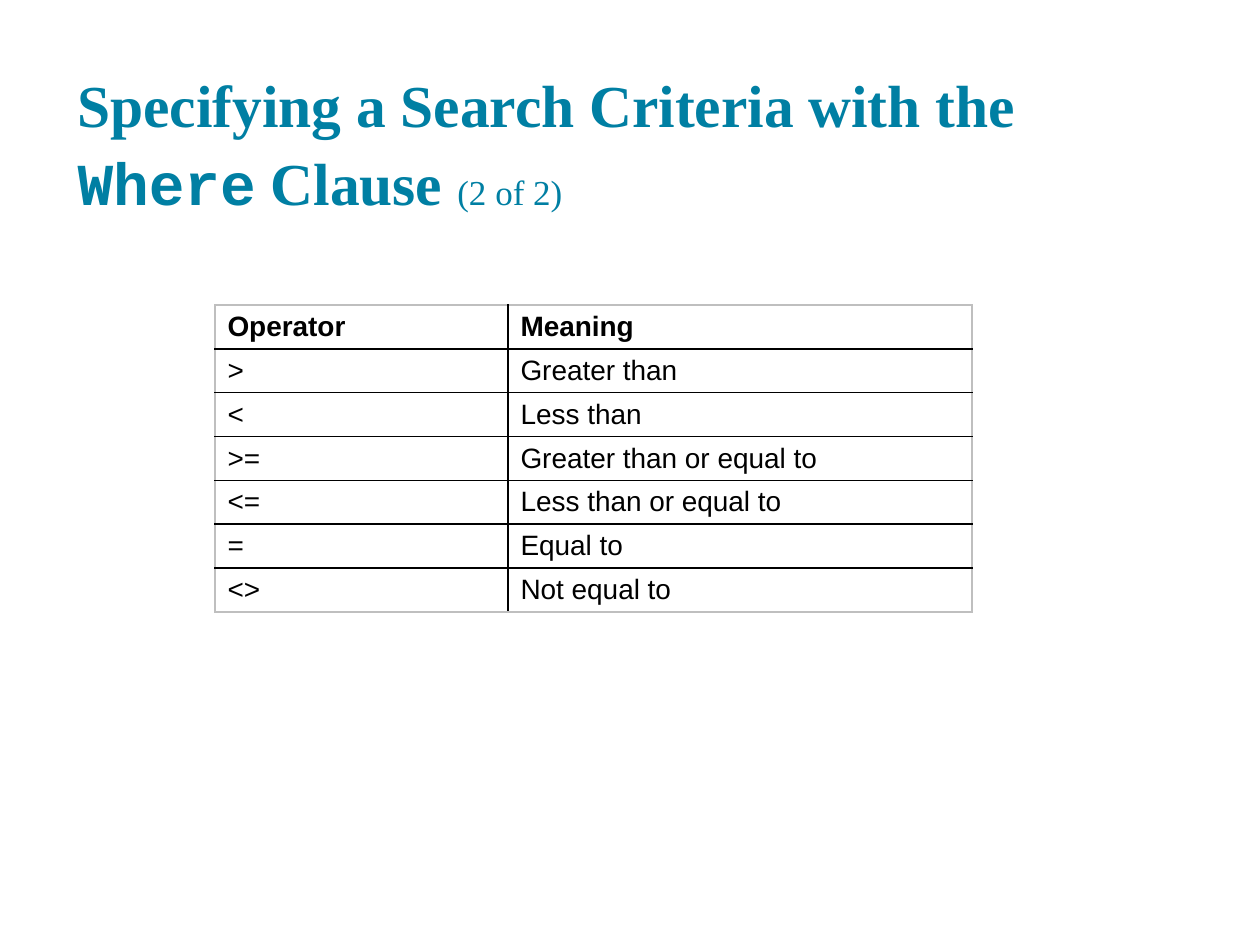
import pptx
import pptx.util
import pptx.dml.color
import pptx.enum.text
import pptx.oxml
import pptx.oxml.ns

PX = 914400 // 126  # EMU in one px
COLORS = {"title": "007FA3", "text": "000000", "grid": "000000", "frame": "BFBFBF"}
SERIF, MONO, SANS = "Times New Roman", "Courier New", "Arial"

TITLE = [
    ("Specifying a Search Criteria with the ", SERIF, 34, True),
    ("Where", MONO, 34, True),
    (" Clause ", SERIF, 34, True),
    ("(2 of 2)", SERIF, 20, False),
]
ROWS = [
    ("Operator", "Meaning"),
    (">", "Greater than"),
    ("<", "Less than"),
    (">=", "Greater than or equal to"),
    ("<=", "Less than or equal to"),
    ("=", "Equal to"),
    ("<>", "Not equal to"),
]


def add_run(para, text, face, size, bold, color):
    run = para.add_run()
    run.text = text
    font = run.font
    font.name, font.size, font.bold = face, pptx.util.Pt(size), bold
    font.color.rgb = pptx.dml.color.RGBColor.from_string(COLORS[color])


def add_title(slide, left, top, width, height):
    title = slide.shapes.title
    title.left, title.top = left * PX, top * PX
    title.width, title.height = width * PX, height * PX
    frame = title.text_frame
    frame.word_wrap = True
    frame.auto_size = pptx.enum.text.MSO_AUTO_SIZE.NONE
    frame.vertical_anchor = pptx.enum.text.MSO_ANCHOR.BOTTOM
    frame.margin_left = frame.margin_right = pptx.util.Inches(0.1)
    frame.margin_top = frame.margin_bottom = pptx.util.Inches(0.1)
    para = frame.paragraphs[0]
    para.alignment = pptx.enum.text.PP_ALIGN.LEFT
    para.line_spacing = 1.09
    for text, face, size, bold in TITLE:
        add_run(para, text, face, size, bold, "title")


def set_border(cell, side, color):
    # Borders must come before the fill in the cell properties
    props = cell._tc.get_or_add_tcPr()
    line = pptx.oxml.parse_xml(
        f'<a:{side} {pptx.oxml.ns.nsdecls("a")} w="12700"><a:solidFill>'
        f'<a:srgbClr val="{COLORS[color]}"/></a:solidFill></a:{side}>'
    )
    props.append(line)


def add_grid(slide, left, top, widths, height):
    count = len(ROWS)
    shape = slide.shapes.add_table(
        count, len(widths), left * PX, top * PX, sum(widths) * PX, height * PX
    )
    table = shape.table
    table.first_row = table.horz_banding = False
    for col, width in zip(table.columns, widths):
        col.width = width * PX
    for r, texts in enumerate(ROWS):
        table.rows[r].height = height * PX // count
        for c, text in enumerate(texts):
            cell = table.cell(r, c)
            cell.margin_left = cell.margin_right = pptx.util.Inches(0.1)
            cell.margin_top = cell.margin_bottom = pptx.util.Inches(0.05)
            # Grey outer frame, black inner lines
            edges = {
                "lnL": c == 0,
                "lnR": c == len(widths) - 1,
                "lnT": r == 0,
                "lnB": r == count - 1,
            }
            for side, outer in edges.items():
                set_border(cell, side, "frame" if outer else "grid")
            cell.fill.background()
            para = cell.text_frame.paragraphs[0]
            add_run(para, text, SANS, 16, r == 0, "text")


def main():
    deck = pptx.Presentation()
    deck.slide_width, deck.slide_height = 1260 * PX, 945 * PX
    slide = deck.slides.add_slide(deck.slide_layouts[5])
    add_title(slide, 65, 79, 1134, 151)
    add_grid(slide, 215, 305, (293, 464), 307)
    deck.save("out.pptx")


if __name__ == "__main__":
    main()
